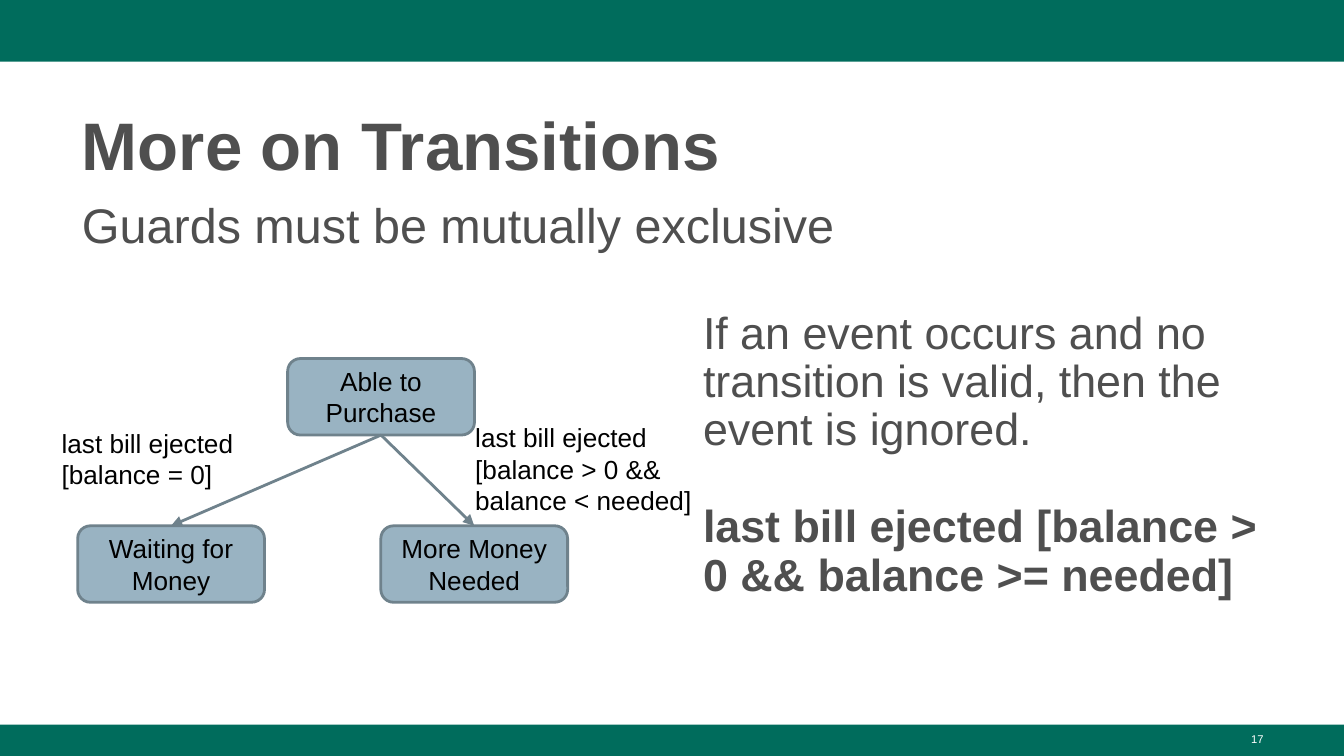
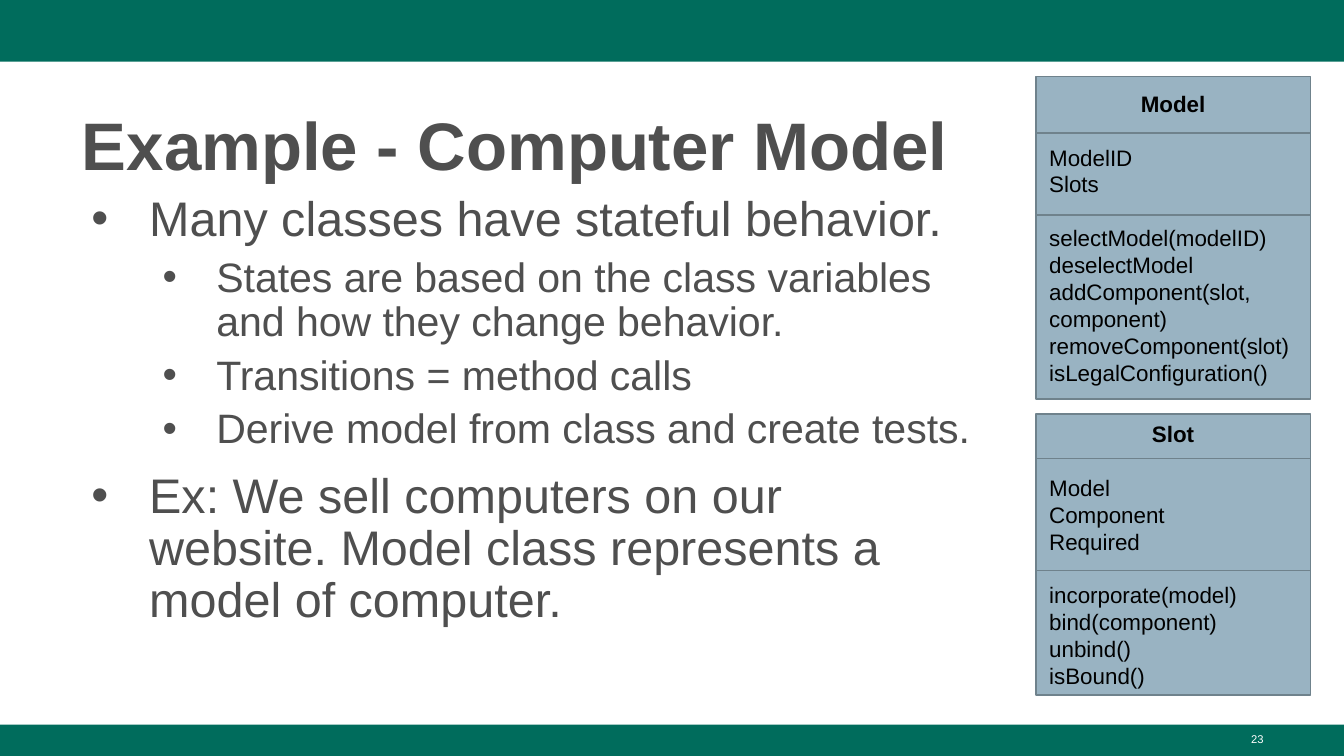
"""Build two slides on state transitions and the computer model example."""
from dataclasses import dataclass
from typing import NamedTuple

from lxml import etree
from pptx import Presentation
from pptx import util as u
from pptx.dml.color import RGBColor
from pptx.enum import shapes, text
from pptx.oxml import ns


@dataclass(frozen=True)
class Theme:
    font: str = "Arial"
    band: str = "006C5C"
    heading: str = "4F4F4F"
    ink: str = "000000"
    paper: str = "FFFFFF"
    box: str = "99B3C2"
    outline: str = "6F828C"
    title_size: int = 36
    lead_size: int = 26
    aside_size: int = 24
    sub_size: int = 22
    label_size: int = 14
    class_size: int = 12
    number_size: int = 6


class Line(NamedTuple):
    words: str
    size: int
    color: str = "000000"
    bold: bool = False
    align: str = "LEFT"
    spacing: float = 1.0
    before: float = 0
    level: int = 0
    bullet: tuple = ()


THEME = Theme()
WIDTH, HEIGHT = 720, 405
BANDS = [(0, 0, WIDTH, 33.1), (0, 388.2, WIDTH, 16.8)]
TITLE_BOX = (36.7, 48.2, 647.3, 52.6)
NUMBER_BOX = (516.2, 388.8, 167.8, 16.6)
PLACEHOLDER_INSETS = (7.2, 3.6)
BOX_INSETS = (7.2, 7.2)

TRANSITIONS_TITLE = "More on Transitions"
TRANSITIONS_NUMBER = "17"
GUARDS = "Guards must be mutually exclusive"
GUARDS_BOX = (36.7, 100.8, 647.3, 274.3)
ASIDE = [
    ("If an event occurs and no transition is valid, then the event is ignored.", False),
    ("last bill ejected [balance > 0 && balance >= needed]", True),
]
ASIDE_BOX = (369.4, 126, 314.6, 236.2)
STATE_SIZE = (100.1, 41)
STATES = {
    "Able to Purchase": (154.1, 192.1),
    "Waiting for Money": (41.6, 281.7),
    "More Money Needed": (204, 281.7),
}
ARROWS = [
    ("Able to Purchase", "Waiting for Money"),
    ("Able to Purchase", "More Money Needed"),
]
GUARD_LABEL_SIZE = (140.4, 18.7)
GUARD_LABELS = [
    ((25.9, 221.8), ["last bill ejected", "[balance = 0]"]),
    ((247.5, 218.7), ["last bill ejected", "[balance > 0 && balance < needed]"]),
]

EXAMPLE_TITLE = "Example - Computer Model"
EXAMPLE_NUMBER = "23"
BULLETS = [
    (0, "Many classes have stateful behavior."),
    (1, "States are based on the class variables and how they change behavior."),
    (1, "Transitions = method calls"),
    (1, "Derive model from class and create tests."),
    (0, "Ex: We sell computers on our website. Model class represents a model of computer."),
]
BULLETS_BOX = (36.7, 100.8, 492.5, 274.3)
BULLET_LEVELS = [
    {"size": THEME.lead_size, "before": 10, "bullet": (36, -31)},
    {"size": THEME.sub_size, "before": 5, "bullet": (72, -28.8)},
]
CLASS_LEFT, CLASS_WIDTH = 555, 147
CLASSES = [
    {
        "name": "Model", "top": 41, "height": 172.8, "dividers": (71.2, 115.2),
        "sections": [
            ["ModelID", "Slots"],
            ["selectModel(modelID)", "deselectModel", "addComponent(slot, component)",
             "removeComponent(slot)", "isLegalConfiguration()"],
        ],
    },
    {
        "name": "Slot", "top": 221.8, "height": 150.5, "dividers": (245.7, 305.5),
        "sections": [
            ["Model", "Component", "Required"],
            ["incorporate(model)", "bind(component)", "unbind()", "isBound()"],
        ],
    },
]


def points(values):
    return [u.Pt(value) for value in values]


def rgb(code):
    return RGBColor.from_string(code)


def set_bullet(paragraph, line):
    properties = paragraph._p.get_or_add_pPr()
    margin, indent = line.bullet or (0, 0)
    properties.set("marL", str(int(u.Pt(margin))))
    properties.set("indent", str(int(u.Pt(indent))))
    if not line.bullet:
        etree.SubElement(properties, ns.qn("a:buNone"))
        return
    color = etree.SubElement(properties, ns.qn("a:buClr"))
    etree.SubElement(color, ns.qn("a:srgbClr"), val=line.color)
    etree.SubElement(properties, ns.qn("a:buFont"), typeface=THEME.font)
    etree.SubElement(properties, ns.qn("a:buChar"), char="•")


def write(shape, lines, insets=BOX_INSETS, anchor="TOP"):
    frame = shape.text_frame
    frame.word_wrap = True
    frame.auto_size = text.MSO_AUTO_SIZE.NONE
    frame.vertical_anchor = getattr(text.MSO_ANCHOR, anchor)
    frame.margin_left = frame.margin_right = u.Pt(insets[0])
    frame.margin_top = frame.margin_bottom = u.Pt(insets[1])
    for index, line in enumerate(lines):
        paragraph = frame.add_paragraph() if index else frame.paragraphs[0]
        set_bullet(paragraph, line)
        paragraph.level = line.level
        paragraph.alignment = getattr(text.PP_ALIGN, line.align)
        paragraph.line_spacing = line.spacing
        paragraph.space_before = u.Pt(line.before if index else 0)
        paragraph.space_after = u.Pt(0)
        run = paragraph.add_run()
        run.text = line.words
        run.font.name = THEME.font
        run.font.size = u.Pt(line.size)
        run.font.bold = line.bold
        run.font.color.rgb = rgb(line.color)


def fill_placeholder(shape, box, lines, insets=PLACEHOLDER_INSETS, anchor="TOP"):
    shape.left, shape.top, shape.width, shape.height = points(box)
    write(shape, lines, insets, anchor)


def add_box(slide, kind, box, fill, outline=None, weight=0.75):
    shape = slide.shapes.add_shape(getattr(shapes.MSO_SHAPE, kind), *points(box))
    shape.shadow.inherit = False
    shape.fill.solid()
    shape.fill.fore_color.rgb = rgb(fill)
    if outline:
        shape.line.color.rgb = rgb(outline)
        shape.line.width = u.Pt(weight)
    else:
        shape.line.fill.background()
    return shape


def add_line(slide, ends=(0, 0, 0, 0), weight=0.75):
    connector = slide.shapes.add_connector(shapes.MSO_CONNECTOR.STRAIGHT, *points(ends))
    connector.line.color.rgb = rgb(THEME.outline)
    connector.line.width = u.Pt(weight)
    etree.SubElement(connector._element.spPr, ns.qn("a:effectLst"))
    return connector


def add_arrow(slide, source, target):
    connector = add_line(slide, weight=1.5)
    connector.begin_connect(source, 2)
    connector.end_connect(target, 0)
    etree.SubElement(connector.line._get_or_add_ln(), ns.qn("a:tailEnd"), type="triangle")


def add_text(slide, box, lines, insets=BOX_INSETS):
    write(slide.shapes.add_textbox(*points(box)), lines, insets)


def add_slide(presentation, layout, title, number):
    slide = presentation.slides.add_slide(presentation.slide_layouts[layout])
    heading = Line(title, THEME.title_size, THEME.heading, True, spacing=1.08)
    fill_placeholder(slide.shapes.title, TITLE_BOX, [heading])
    page = Line(number, THEME.number_size, THEME.paper, align="RIGHT")
    add_text(slide, NUMBER_BOX, [page], PLACEHOLDER_INSETS)
    return slide


def add_bands(presentation, slide):
    tree = presentation.slide_master.shapes.element
    for band in BANDS:
        tree.insert(2, add_box(slide, "RECTANGLE", band, THEME.band)._element)


def build_transitions(presentation):
    slide = add_slide(presentation, 3, TRANSITIONS_TITLE, TRANSITIONS_NUMBER)
    lead = Line(GUARDS, THEME.lead_size, THEME.heading)
    fill_placeholder(slide.placeholders[1], GUARDS_BOX, [lead])
    aside = [Line(words, THEME.aside_size, THEME.heading, bold, spacing=0.9, before=26)
             for words, bold in ASIDE]
    fill_placeholder(slide.placeholders[2], ASIDE_BOX, aside, BOX_INSETS, "MIDDLE")
    states = {}
    for name, corner in STATES.items():
        state = add_box(slide, "ROUNDED_RECTANGLE", corner + STATE_SIZE,
                        THEME.box, THEME.outline, 1.5)
        write(state, [Line(name, THEME.label_size, THEME.ink, align="CENTER")], anchor="MIDDLE")
        states[name] = state
    for source, target in ARROWS:
        add_arrow(slide, states[source], states[target])
    for corner, words in GUARD_LABELS:
        add_text(slide, corner + GUARD_LABEL_SIZE,
                 [Line(entry, THEME.label_size, THEME.ink) for entry in words])
    return slide


def add_class(slide, name, top, height, dividers, sections):
    box = add_box(slide, "RECTANGLE", (CLASS_LEFT, top, CLASS_WIDTH, height),
                  THEME.box, THEME.outline)
    lines = [Line(name, THEME.class_size, THEME.ink, True, "CENTER")]
    for section in sections:
        for index, member in enumerate(section):
            gap = 0 if index else 1.2 * THEME.class_size
            lines.append(Line(member, THEME.class_size, THEME.ink, before=gap))
    write(box, lines, anchor="MIDDLE")
    for height_at in dividers:
        add_line(slide, (CLASS_LEFT, height_at, CLASS_LEFT + CLASS_WIDTH, height_at))


def build_example(presentation):
    slide = add_slide(presentation, 1, EXAMPLE_TITLE, EXAMPLE_NUMBER)
    lines = [Line(words, color=THEME.heading, spacing=0.9, level=level, **BULLET_LEVELS[level])
             for level, words in BULLETS]
    fill_placeholder(slide.placeholders[1], BULLETS_BOX, lines)
    for details in CLASSES:
        add_class(slide, **details)


def main():
    presentation = Presentation()
    presentation.slide_width, presentation.slide_height = points((WIDTH, HEIGHT))
    add_bands(presentation, build_transitions(presentation))
    build_example(presentation)
    presentation.save("out.pptx")


if __name__ == "__main__":
    main()
